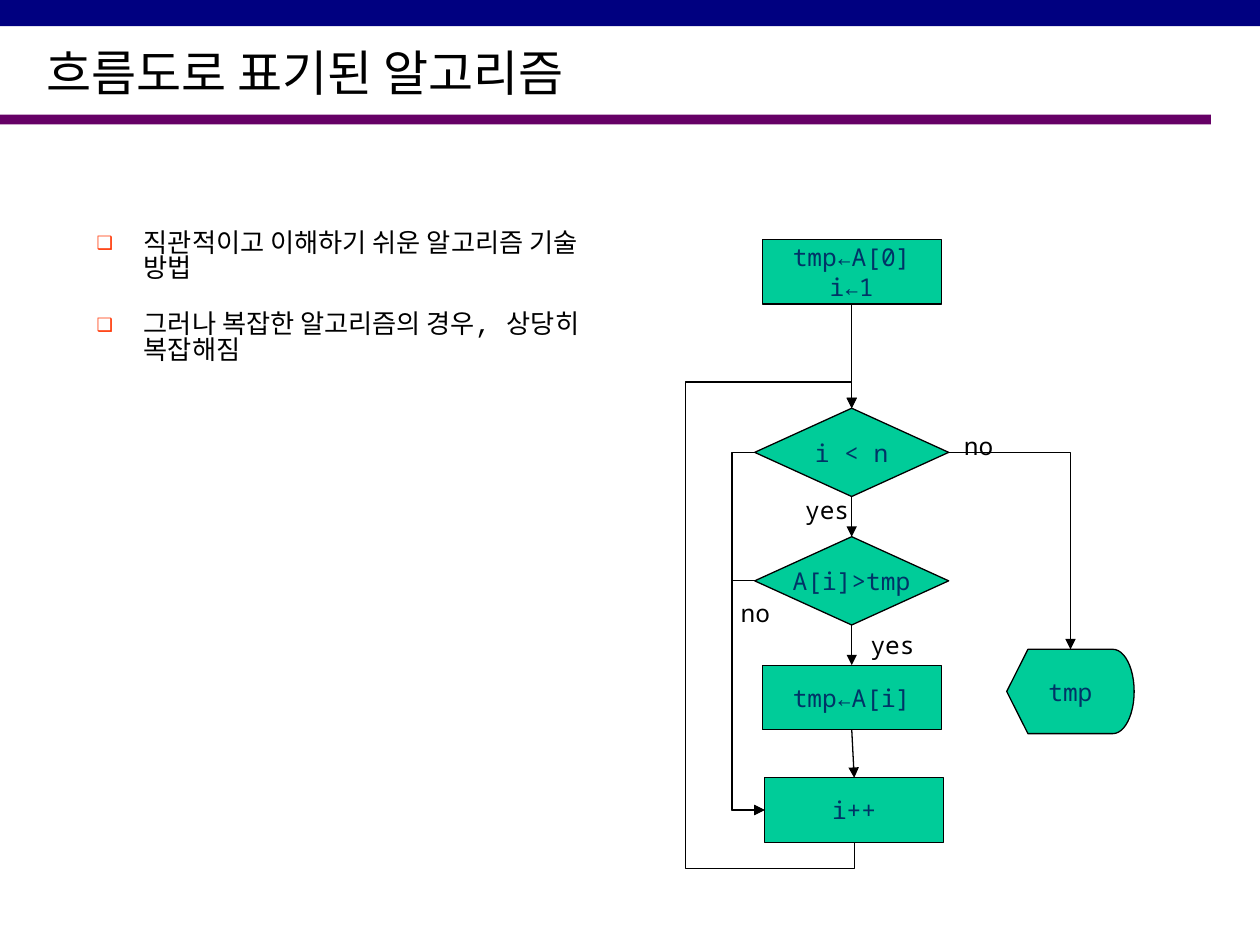
from lxml.etree import SubElement
from pptx import Presentation
from pptx.dml.color import RGBColor
from pptx.enum.shapes import MSO_CONNECTOR, MSO_SHAPE
from pptx.enum.text import MSO_ANCHOR, MSO_AUTO_SIZE, PP_ALIGN
from pptx.oxml.ns import qn
from pptx.util import Cm, Pt

NAVY = RGBColor(0x00, 0x00, 0x80)
PURPLE = RGBColor(0x66, 0x00, 0x66)
GREEN = RGBColor(0x00, 0xCC, 0x99)
INK = RGBColor(0x00, 0x33, 0x66)
BLACK = RGBColor(0x00, 0x00, 0x00)
ORANGE = RGBColor(0xFF, 0x33, 0x00)
SANS, MONO, COURIER = "Noto Sans CJK KR", "Noto Sans Mono", "Courier New"


def add_run(p, text, size, font, color):
    """Add one run with its Latin and East Asian fonts."""
    r = p.add_run()
    r.text = text
    r.font.size = Pt(size)
    r.font.name = font
    r.font.color.rgb = color
    east = MONO if font == MONO else SANS
    SubElement(r.font._element, qn("a:ea"), typeface=east)


def add_text(s, left, top, width, height, wrap=True):
    """Add an empty text box and return its text frame."""
    tf = s.shapes.add_textbox(Cm(left), Cm(top), Cm(width), Cm(height)).text_frame
    tf.word_wrap = wrap
    return tf


def add_bar(s, left, top, width, height, color):
    """Add a plain bar without an outline."""
    sp = s.shapes.add_shape(MSO_SHAPE.RECTANGLE, Cm(left), Cm(top), Cm(width), Cm(height))
    sp.shadow.inherit = False
    sp.fill.solid()
    sp.fill.fore_color.rgb = color
    sp.line.fill.background()


def add_header(s, left, top, width):
    """Place the two bars and the title."""
    add_bar(s, left, top + 2.31, width - 0.99, 0.2, PURPLE)
    add_bar(s, left, top, width, 0.53, NAVY)
    tf = add_text(s, left + 0.69, top + 0.71, 22.81, 1.47)
    tf.vertical_anchor = MSO_ANCHOR.MIDDLE
    add_run(tf.paragraphs[0], "흐름도로 표기된 알고리즘", 28, SANS, BLACK)


def add_bullets(s, left, top, width, height, items):
    """Place a bulleted list with hanging indents."""
    tf = add_text(s, left, top, width, height)
    for i, text in enumerate(items):
        p = tf.paragraphs[0] if i == 0 else tf.add_paragraph()
        p.line_spacing = 0.8
        p.space_before = Pt(18 if i else 0)
        pPr = p._p.get_or_add_pPr()
        pPr.set("marL", str(Cm(0.95)))
        pPr.set("indent", str(-Cm(0.95)))
        clr = SubElement(pPr, qn("a:buClr"))
        SubElement(clr, qn("a:srgbClr"), val=str(ORANGE))
        SubElement(pPr, qn("a:buSzPct"), val="70000")
        SubElement(pPr, qn("a:buFont"), typeface=SANS)
        SubElement(pPr, qn("a:buChar"), char="❑")
        add_run(p, text, 15, COURIER, BLACK)


def add_node(s, shape, center, top, width, height, *lines):
    """Add a flowchart symbol centred on a column."""
    sp = s.shapes.add_shape(shape, Cm(center - width / 2), Cm(top), Cm(width), Cm(height))
    sp.shadow.inherit = False
    sp.fill.solid()
    sp.fill.fore_color.rgb = GREEN
    sp.line.color.rgb = BLACK
    sp.line.width = Pt(0.75)
    tf = sp.text_frame
    tf.word_wrap = False
    tf.vertical_anchor = MSO_ANCHOR.MIDDLE
    for i, text in enumerate(lines):
        p = tf.paragraphs[0] if i == 0 else tf.add_paragraph()
        p.alignment = PP_ALIGN.CENTER
        add_run(p, text, 14, MONO, INK)
    return sp


def add_arrow(s, kind=MSO_CONNECTOR.STRAIGHT, ends=(0, 0, 0, 0), start=None, stop=None):
    """Add a connector with an arrowhead, joined to (shape, site) pairs."""
    c = s.shapes.add_connector(kind, *(Cm(v) for v in ends))
    if start:
        c.begin_connect(*start)
    if stop:
        c.end_connect(*stop)
    c.line.color.rgb = BLACK
    c.line.width = Pt(0.75)
    SubElement(c.line._get_or_add_ln(), qn("a:tailEnd"), type="triangle")
    SubElement(c._element.spPr, qn("a:effectLst"))
    return c


def bend(c, preset, *adjustments):
    """Choose the elbow preset and its bend positions."""
    geom = c._element.spPr.find(qn("a:prstGeom"))
    geom.set("prst", preset)
    av = geom.find(qn("a:avLst"))
    for i, value in enumerate(adjustments, 1):
        SubElement(av, qn("a:gd"), name=f"adj{i}", fmla=f"val {round(value * 100000)}")


def add_flowchart(s, left, top):
    """Place the flowchart of the maximum search."""
    axis = left + 3.35
    box, choice = MSO_SHAPE.FLOWCHART_PROCESS, MSO_SHAPE.FLOWCHART_DECISION
    init = add_node(s, box, axis, top, 3.61, 1.3, "tmp←A[0]", "i←1")
    test = add_node(s, choice, axis, top + 3.4, 3.91, 1.78, "i < n")
    compare = add_node(s, choice, axis, top + 5.99, 3.91, 1.78, "A[i]>tmp")
    assign = add_node(s, box, axis, top + 8.58, 3.61, 1.3, "tmp←A[i]")
    step = add_node(s, box, axis + 0.05, top + 10.85, 3.61, 1.3, "i++")
    output = add_node(s, MSO_SHAPE.FLOWCHART_DISPLAY, left + 7.76, top + 8.26, 2.57, 1.7, "tmp")

    column = [init, test, compare, assign, step]
    for upper, lower in zip(column, column[1:]):
        add_arrow(s, start=(upper, 2), stop=(lower, 0))
    elbow = MSO_CONNECTOR.ELBOW
    for source in (test, compare):
        bend(add_arrow(s, elbow, start=(source, 1), stop=(step, 1)), "bentConnector3", -2.28)
    bend(add_arrow(s, elbow, start=(test, 3), stop=(output, 0)), "bentConnector2")
    ends = (left - 1, top + 7.8, left + 7.75, top + 7.75)
    loop = add_arrow(s, elbow, ends)
    loop._element.spPr.find(qn("a:xfrm")).set("rot", "16200000")
    bend(loop, "bentConnector5", -0.06, 68, 1.06)

    labels = [("no", 5.36, 3.73), ("yes", 2.16, 5.03), ("no", 0.86, 7.11), ("yes", 3.48, 7.75)]
    for text, x, y in labels:
        tf = add_text(s, left + x, top + y, 0.51 + 0.3 * len(text), 0.86, wrap=False)
        tf.auto_size = MSO_AUTO_SIZE.SHAPE_TO_FIT_TEXT
        add_run(tf.paragraphs[0], text, 14, MONO, BLACK)


def main():
    """Build the slide and save it."""
    prs = Presentation()
    prs.slide_width, prs.slide_height = Cm(25.4), Cm(19.05)
    s = prs.slides.add_slide(prs.slide_layouts[6])
    add_header(s, 0, 0, 25.4)
    add_flowchart(s, 13.82, 4.83)
    add_bullets(s, 1.7, 4.55, 11, 3.71, [
        "직관적이고 이해하기 쉬운 알고리즘 기술 방법",
        "그러나 복잡한 알고리즘의 경우, 상당히 복잡해짐",
    ])
    prs.save("out.pptx")


if __name__ == "__main__":
    main()
